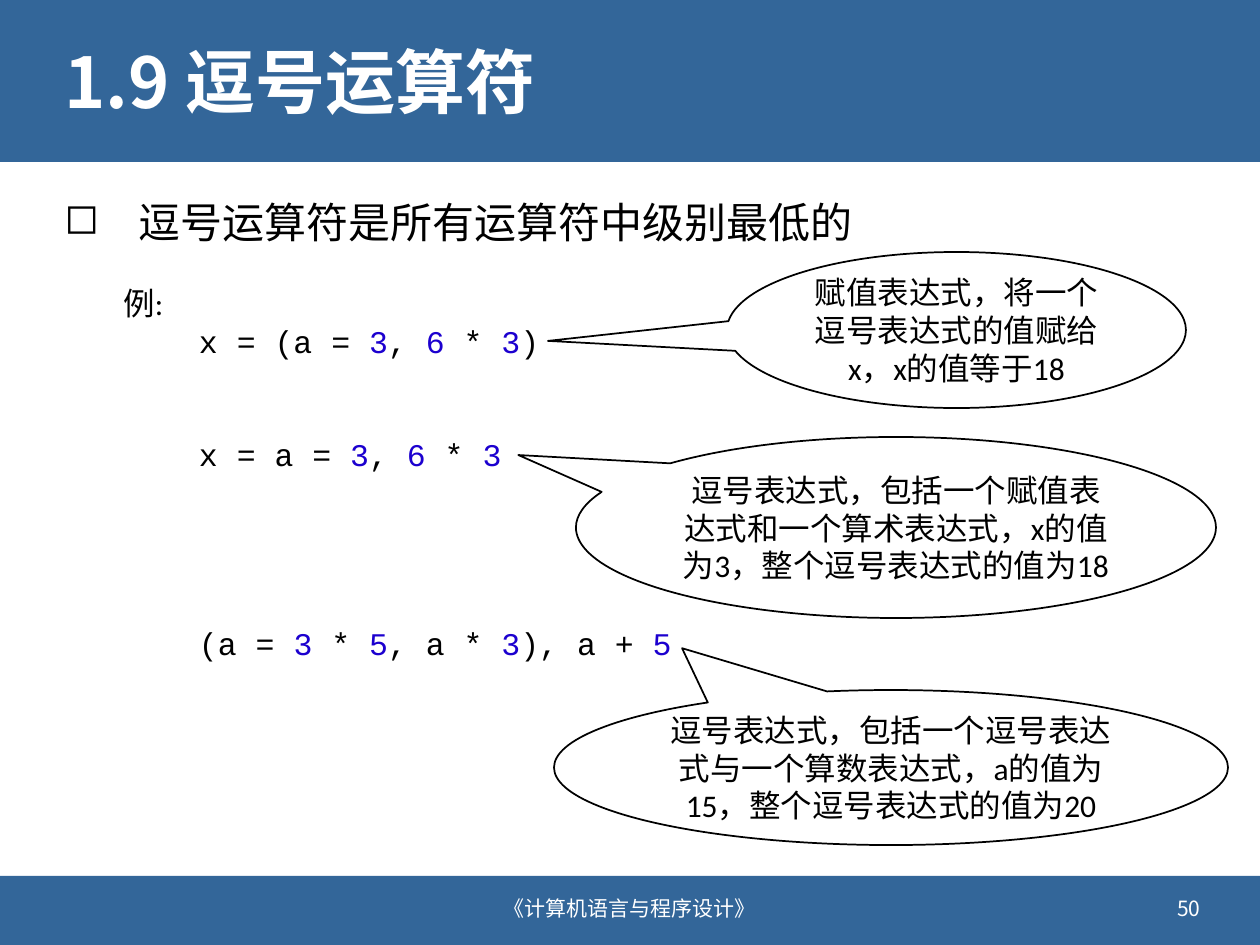
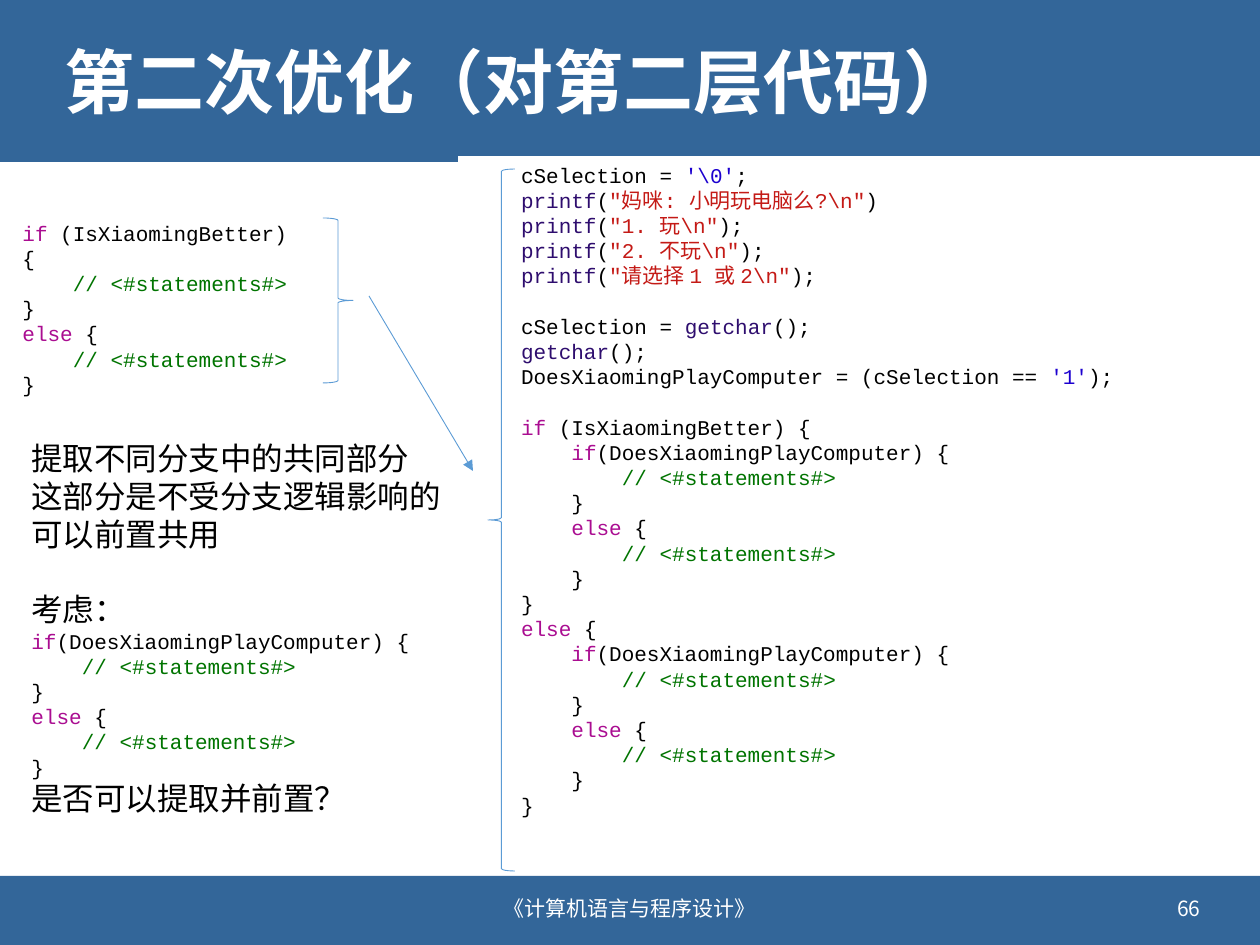
import itertools

import pptx
import pptx.dml.color
import pptx.enum.shapes
import pptx.enum.text
import pptx.oxml.ns
import pptx.util
from lxml import etree

RGBColor = pptx.dml.color.RGBColor
Pt = pptx.util.Pt
SHAPE = pptx.enum.shapes.MSO_SHAPE
ANCHOR = pptx.enum.text.MSO_ANCHOR
ALIGN = pptx.enum.text.PP_ALIGN
qn = pptx.oxml.ns.qn

BAND_BLUE = RGBColor(0x33, 0x66, 0x99)
LINE_BLUE = RGBColor(0x5B, 0x9B, 0xD5)
WHITE = RGBColor(0xFF, 0xFF, 0xFF)
BLACK = RGBColor(0, 0, 0)
LITERAL = RGBColor(0x1C, 0x00, 0xCF)
STRING = RGBColor(0xC4, 0x1A, 0x16)
FUNCTION = RGBColor(0x2E, 0x0D, 0x6E)
KEYWORD = RGBColor(0xAA, 0x0D, 0x91)
COMMENT = RGBColor(0x00, 0x74, 0x00)

PX = pptx.util.Inches(1) / 126
WIDTH, HEIGHT = 1260, 945
LINE_HEIGHT = 1.2
CJK_FONT = "Noto Sans CJK SC"
INDENT = "    "

TITLE = {"name": CJK_FONT, "size": Pt(40), "bold": True}
BULLET = {"name": CJK_FONT, "size": Pt(24)}
NOTE = {"name": CJK_FONT, "size": Pt(18)}
FOOTER = {"name": CJK_FONT, "size": Pt(12)}
CALLOUT = {"name": "Calibri", "size": Pt(18)}
EXAMPLE = {"name": "Courier New", "size": Pt(18)}
CODE = {"name": "Courier New", "size": Pt(12)}

BANDS = [(0, 0, WIDTH, 162), (0, 876, WIDTH, 69)]
COURSE = "《计算机语言与程序设计》"

COMMA_RULE = "逗号运算符是所有运算符中级别最低的"
EXAMPLES = ["x = (a = 3, 6 * 3)", 2, "x = a = 3, 6 * 3", 4, "(a = 3 * 5, a * 3), a + 5"]
CALLOUTS = [
    ((727, 252, 459, 156), (-0.89, 0.07),
     "赋值表达式，将一个逗号表达式的值赋给x，x的值等于18"),
    ((576, 437, 640, 181), (-0.59, -0.4),
     "逗号表达式，包括一个赋值表达式和一个算术表达式，x的值为3，整个逗号表达式的值为18"),
    ((554, 690, 674, 155), (-0.31, -0.77),
     "逗号表达式，包括一个逗号表达式与一个算数表达式，a的值为15，整个逗号表达式的值为20"),
]

STATEMENTS = [[("// <#statements#>", COMMENT)]]
BETTER = " (IsXiaomingBetter) {"
PLAYS = "(DoesXiaomingPlayComputer) {"
PROMPTS = [
    (r'"妈咪: 小明玩电脑么?\n"', ")"),
    (r'"1. 玩\n"', ");"),
    (r'"2. 不玩\n"', ");"),
    (r'"请选择 1 或 2\n"', ");"),
]
ADVICE = ["提取不同分支中的共同部分", "这部分是不受分支逻辑影响的", "可以前置共用", 1, "考虑："]
QUESTION = ["是否可以提取并前置？"]
BRACES = [(SHAPE.LEFT_BRACE, (488, 169, 27, 702)), (SHAPE.RIGHT_BRACE, (323, 218, 30, 165))]
ARROW = (369, 296, 473, 471)


def emu(lengths):
    return [round(length * PX) for length in lengths]


def if_else(condition, body):
    block = [[INDENT, *line] for line in body]
    return [[("if", KEYWORD), condition], *block, ["}"],
            [("else", KEYWORD), " {"], *block, ["}"]]


def colour_digits(code):
    groups = itertools.groupby(code, str.isdigit)
    return [INDENT] + [("".join(part), LITERAL if digit else BLACK) for digit, part in groups]


def write(shape, blocks, colour=BLACK, frame_format=None, paragraph_format=None):
    frame = shape.text_frame
    frame.word_wrap = True
    for name, value in (frame_format or {}).items():
        setattr(frame, name, value)
    paragraph, gap = None, 0
    for style, lines in blocks:
        for line in lines:
            if isinstance(line, int):
                gap = line
                continue
            paragraph = frame.add_paragraph() if paragraph else frame.paragraphs[0]
            for name, value in (paragraph_format or {}).items():
                setattr(paragraph, name, value)
            if gap:
                paragraph.space_before = Pt(round(gap * LINE_HEIGHT * style["size"].pt, 1))
                gap = 0
            for part in [line] if isinstance(line, str) else line:
                text, run_colour = (part, colour) if isinstance(part, str) else part
                run = paragraph.add_run()
                run.text = text
                for name, value in style.items():
                    setattr(run.font, name, value)
                run.font.color.rgb = run_colour
                etree.SubElement(run.font._element, qn("a:ea"), typeface=CJK_FONT)


def add_text(slide, box, blocks, **formats):
    shape = slide.shapes.add_textbox(*emu(box))
    write(shape, blocks, **formats)
    return shape


def add_shape(slide, kind, box, fill=None, line=None, line_width=1):
    shape = slide.shapes.add_shape(kind, *emu(box))
    shape.shadow.inherit = False
    if fill is None:
        shape.fill.background()
    else:
        shape.fill.solid()
        shape.fill.fore_color.rgb = fill
    if line is None:
        shape.line.fill.background()
    else:
        shape.line.color.rgb = line
        shape.line.width = Pt(line_width)
    return shape


def add_slide(presentation, title, number):
    slide = presentation.slides.add_slide(presentation.slide_layouts[6])
    for band in BANDS:
        add_shape(slide, SHAPE.RECTANGLE, band, BAND_BLUE)
    for box, style, text, paragraph_format in [
        ((52, 23, 1158, 125), TITLE, title, {"line_spacing": 0.9}),
        ((403, 883, 454, 50), FOOTER, COURSE, {"alignment": ALIGN.CENTER}),
        ((911, 883, 302, 50), FOOTER, number, {"alignment": ALIGN.RIGHT}),
    ]:
        add_text(slide, box, [(style, [text])], colour=WHITE,
                 frame_format={"vertical_anchor": ANCHOR.MIDDLE},
                 paragraph_format=paragraph_format)
    return slide


def add_bullet(shape, symbol, indent):
    properties = shape.text_frame.paragraphs[0]._p.get_or_add_pPr()
    properties.set("marL", str(indent))
    properties.set("indent", str(-indent))
    etree.SubElement(properties, qn("a:buChar"), char=symbol)


def add_arrow(slide, ends):
    arrow = slide.shapes.add_connector(pptx.enum.shapes.MSO_CONNECTOR.STRAIGHT, *emu(ends))
    arrow.line.color.rgb = LINE_BLUE
    arrow.line.width = Pt(0.5)
    etree.SubElement(arrow.line._get_or_add_ln(), qn("a:tailEnd"), type="triangle")
    etree.SubElement(arrow._element.spPr, qn("a:effectLst"))


def build_comma_slide(presentation):
    slide = add_slide(presentation, "1.9 逗号运算符", "50")
    rule = add_text(slide, (52, 185, 1158, 74), [(BULLET, [COMMA_RULE])],
                    paragraph_format={"line_spacing": 1.1})
    add_bullet(rule, "◻", emu([74])[0])
    examples = [line if isinstance(line, int) else colour_digits(line) for line in EXAMPLES]
    add_text(slide, (111, 278, 630, 440), [(CALLOUT, ["例:"]), (EXAMPLE, examples)])
    for box, tip, text in CALLOUTS:
        callout = add_shape(slide, SHAPE.OVAL_CALLOUT, box, WHITE, BLACK)
        for index, offset in enumerate(tip):
            callout.adjustments[index] = offset
        write(callout, [(CALLOUT, [text])],
              frame_format={"vertical_anchor": ANCHOR.MIDDLE},
              paragraph_format={"alignment": ALIGN.CENTER})


def build_optimisation_slide(presentation):
    slide = add_slide(presentation, "第二次优化（对第二层代码）", "66")
    plays = if_else(PLAYS, STATEMENTS)
    program = [
        ["cSelection = ", (r"'\0'", LITERAL), ";"],
        *[[("printf", FUNCTION), "(", (text, STRING), end] for text, end in PROMPTS],
        1,
        ["cSelection = ", ("getchar", FUNCTION), "();"],
        [("getchar", FUNCTION), "();"],
        ["DoesXiaomingPlayComputer = (cSelection == ", ("'1'", LITERAL), ");"],
        1,
        *if_else(BETTER, plays),
    ]
    panel = add_shape(slide, SHAPE.RECTANGLE, (458, 156, 802, 674), WHITE)
    write(panel, [(CODE, program)],
          frame_format={"vertical_anchor": ANCHOR.TOP, "margin_left": emu([63])[0]},
          paragraph_format={"alignment": ALIGN.LEFT})
    add_text(slide, (10, 214, 310, 165), [(CODE, if_else(BETTER, STATEMENTS))])
    for kind, box in BRACES:
        add_shape(slide, kind, box, line=LINE_BLUE, line_width=0.5)
    add_arrow(slide, ARROW)
    add_text(slide, (19, 433, 450, 394), [(NOTE, ADVICE), (CODE, plays), (NOTE, QUESTION)])


def main():
    presentation = pptx.Presentation()
    presentation.slide_width, presentation.slide_height = emu((WIDTH, HEIGHT))
    build_comma_slide(presentation)
    build_optimisation_slide(presentation)
    presentation.save("out.pptx")


if __name__ == "__main__":
    main()
